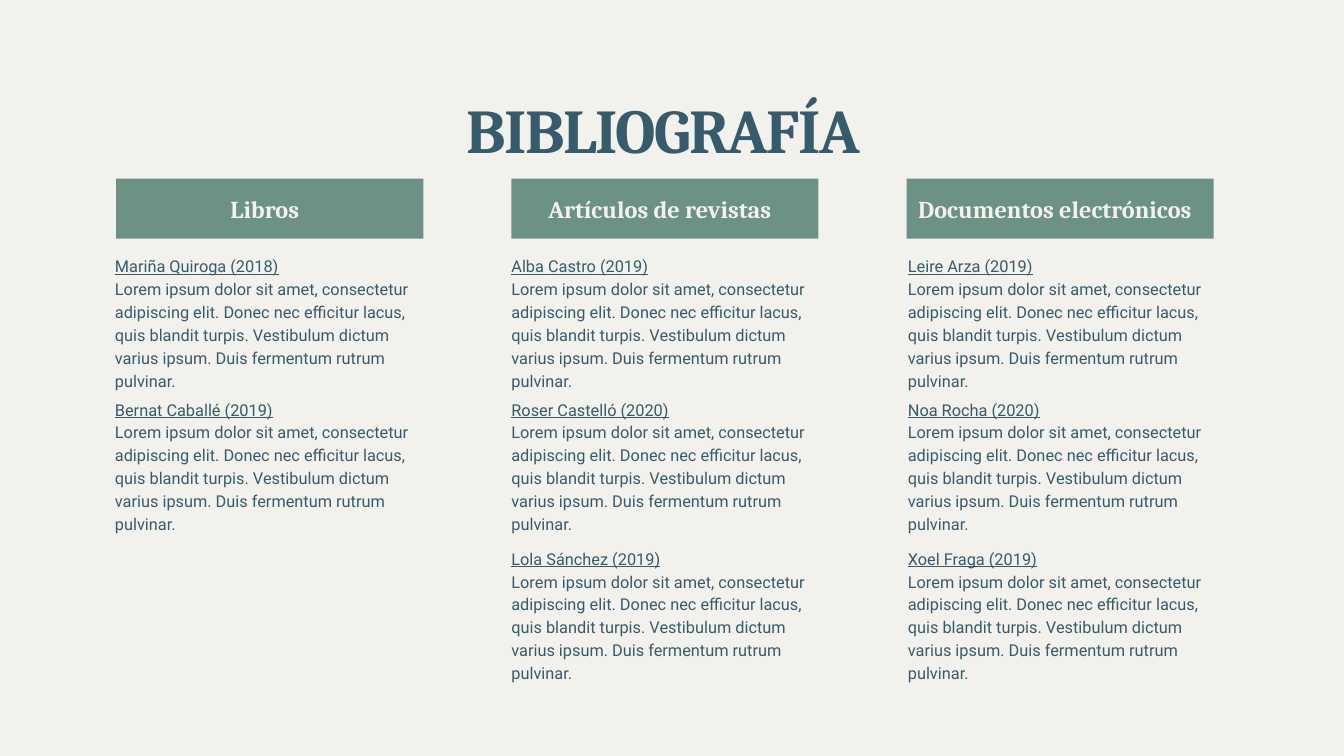
from pptx import Presentation
from pptx.dml.color import RGBColor
from pptx.enum import shapes, text
from pptx.util import Inches, Pt

# Content
TITLE = "BIBLIOGRAFÍA"
SUMMARY = ("Lorem ipsum dolor sit amet, consectetur adipiscing elit. "
           "Donec nec efficitur lacus, quis blandit turpis. Vestibulum dictum "
           "varius ipsum. Duis fermentum rutrum pulvinar.")
SECTIONS = [
    ("Libros", ["Mariña Quiroga (2018)", "Bernat Caballé (2019)"]),
    ("Artículos de revistas",
     ["Alba Castro (2019)", "Roser Castelló (2020)", "Lola Sánchez (2019)"]),
    ("Documentos electrónicos",
     ["Leire Arza (2019)", "Noa Rocha (2020)", "Xoel Fraga (2019)"]),
]

# Style
CREAM = RGBColor(0xF2, 0xF1, 0xEC)
GREEN = RGBColor(0x6C, 0x92, 0x86)
BLUE = RGBColor(0x36, 0x5B, 0x6D)
SERIF, SANS = "Cambria", "Roboto"

# Layout, in inches
BAR_LEFT, BAR_PITCH, BAR_TOP, BAR_WIDTH, BAR_HEIGHT = 1.73, 5.88, 2.66, 4.57, 0.89
HEADING_INSET, HEADING_TOP, HEADING_WIDTH, HEADING_HEIGHT = 0.17, 3.01, 4.08, 0.34
ENTRY_LEFT, ENTRY_PITCH, ENTRY_WIDTH, ENTRY_HEIGHT = 1.71, 5.9, 4.59, 1.99
ENTRY_TOPS = [3.77, 5.9, 8.12]


def prepare_frame(frame):
    frame.margin_left = frame.margin_top = 0
    frame.margin_right = frame.margin_bottom = 0
    frame.word_wrap = True
    frame.auto_size = text.MSO_AUTO_SIZE.NONE
    frame.vertical_anchor = text.MSO_ANCHOR.TOP
    return frame


def add_text_box(slide, left, top, width, height):
    box = slide.shapes.add_textbox(
        Inches(left), Inches(top), Inches(width), Inches(height))
    return prepare_frame(box.text_frame)


def write(paragraph, words, font, size, color, spacing,
          align=text.PP_ALIGN.LEFT, bold=False, underline=False):
    paragraph.alignment = align
    paragraph.line_spacing = Pt(spacing)
    run = paragraph.add_run()
    run.text = words
    run.font.name = font
    run.font.size = Pt(size)
    run.font.color.rgb = color
    run.font.bold = bold
    run.font.underline = underline
    return run


def add_title(slide):
    title = slide.shapes.title
    title.left, title.top = Inches(1.63), Inches(1.44)
    title.width, title.height = Inches(16.48), Inches(1.04)
    frame = prepare_frame(title.text_frame)
    run = write(frame.paragraphs[0], TITLE, SERIF, 66.7, BLUE, 74,
                text.PP_ALIGN.CENTER, bold=True)
    run.font._element.set("spc", "-170")


def add_heading(slide, column, heading):
    left = BAR_LEFT + column * BAR_PITCH
    bar = slide.shapes.add_shape(
        shapes.MSO_SHAPE.RECTANGLE, Inches(left), Inches(BAR_TOP),
        Inches(BAR_WIDTH), Inches(BAR_HEIGHT))
    bar.shadow.inherit = False
    bar.fill.solid()
    bar.fill.fore_color.rgb = GREEN
    bar.line.fill.background()
    frame = add_text_box(slide, left + HEADING_INSET, HEADING_TOP,
                         HEADING_WIDTH, HEADING_HEIGHT)
    write(frame.paragraphs[0], heading, SERIF, 26, CREAM, 23.1,
          text.PP_ALIGN.CENTER, bold=True)


def add_entry(slide, column, top, author):
    frame = add_text_box(slide, ENTRY_LEFT + column * ENTRY_PITCH, top,
                         ENTRY_WIDTH, ENTRY_HEIGHT)
    write(frame.paragraphs[0], author, SANS, 17.5, BLUE, 24.5, underline=True)
    write(frame.add_paragraph(), SUMMARY, SANS, 17.5, BLUE, 24.5)


def main():
    prs = Presentation()
    prs.slide_width, prs.slide_height = Inches(20), Inches(11.25)
    slide = prs.slides.add_slide(prs.slide_layouts.get_by_name("Title Only"))
    slide.background.fill.solid()
    slide.background.fill.fore_color.rgb = CREAM

    add_title(slide)
    # One column per kind of source
    for column, (heading, authors) in enumerate(SECTIONS):
        add_heading(slide, column, heading)
        for top, author in zip(ENTRY_TOPS, authors):
            add_entry(slide, column, top, author)

    prs.save("out.pptx")


if __name__ == "__main__":
    main()
